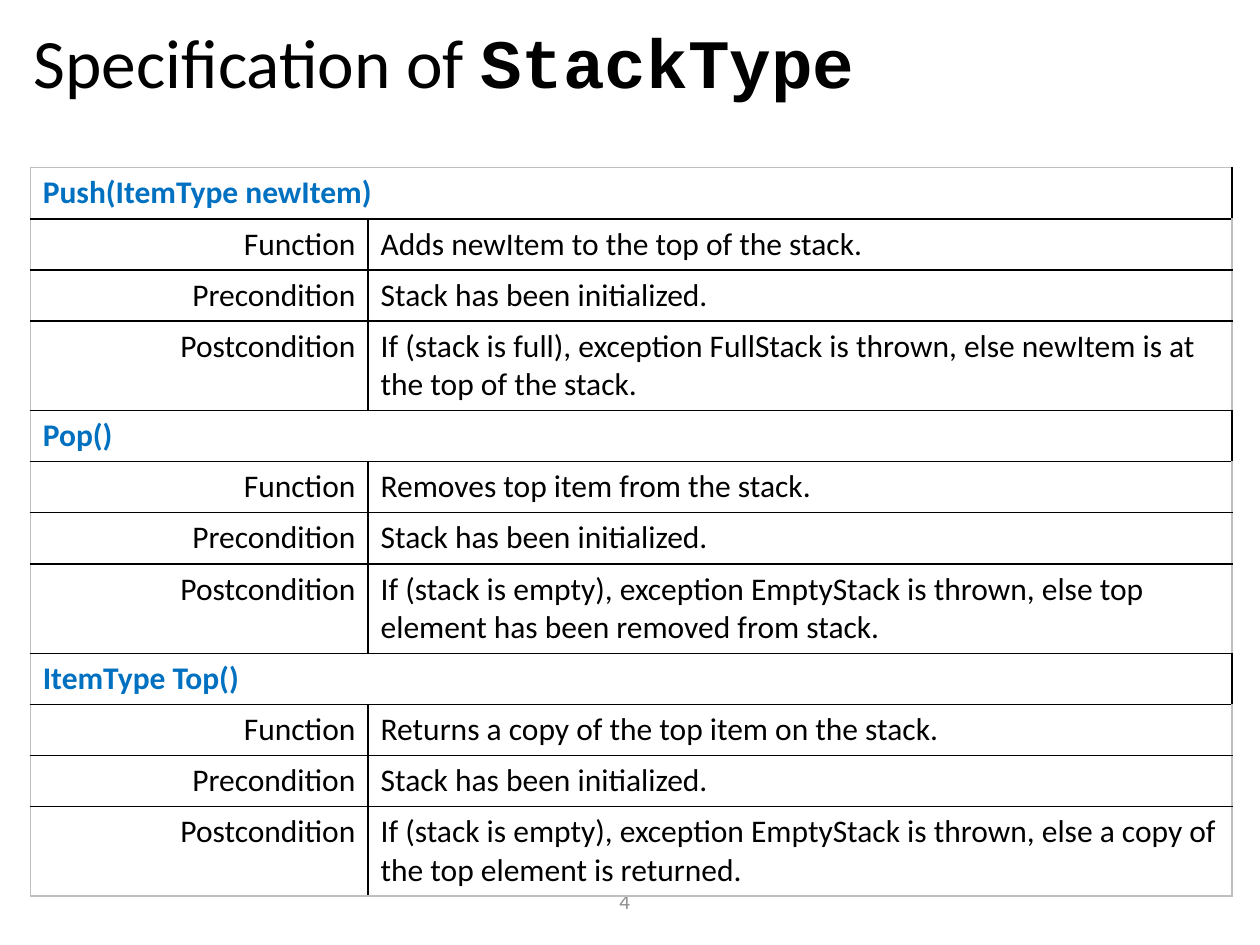
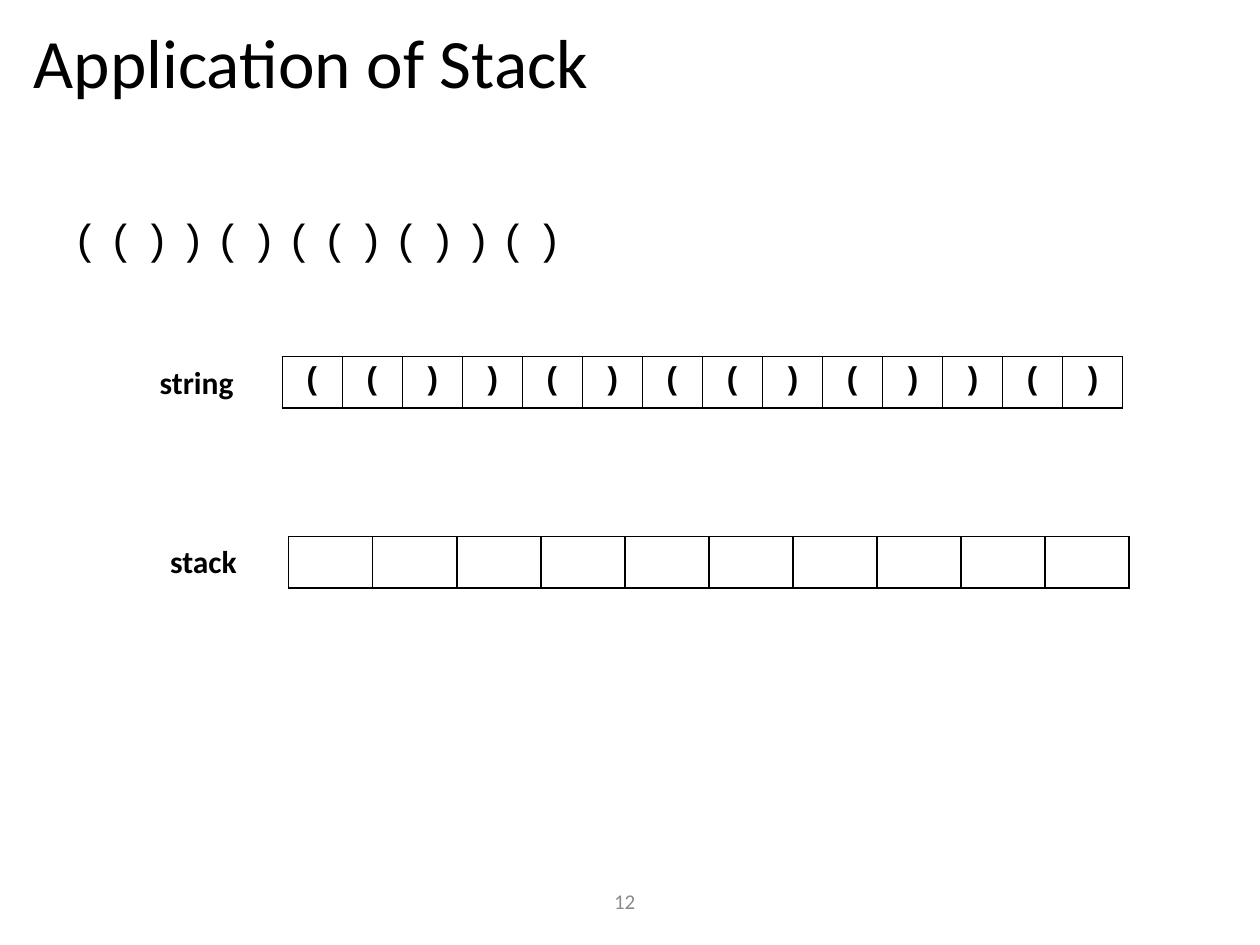
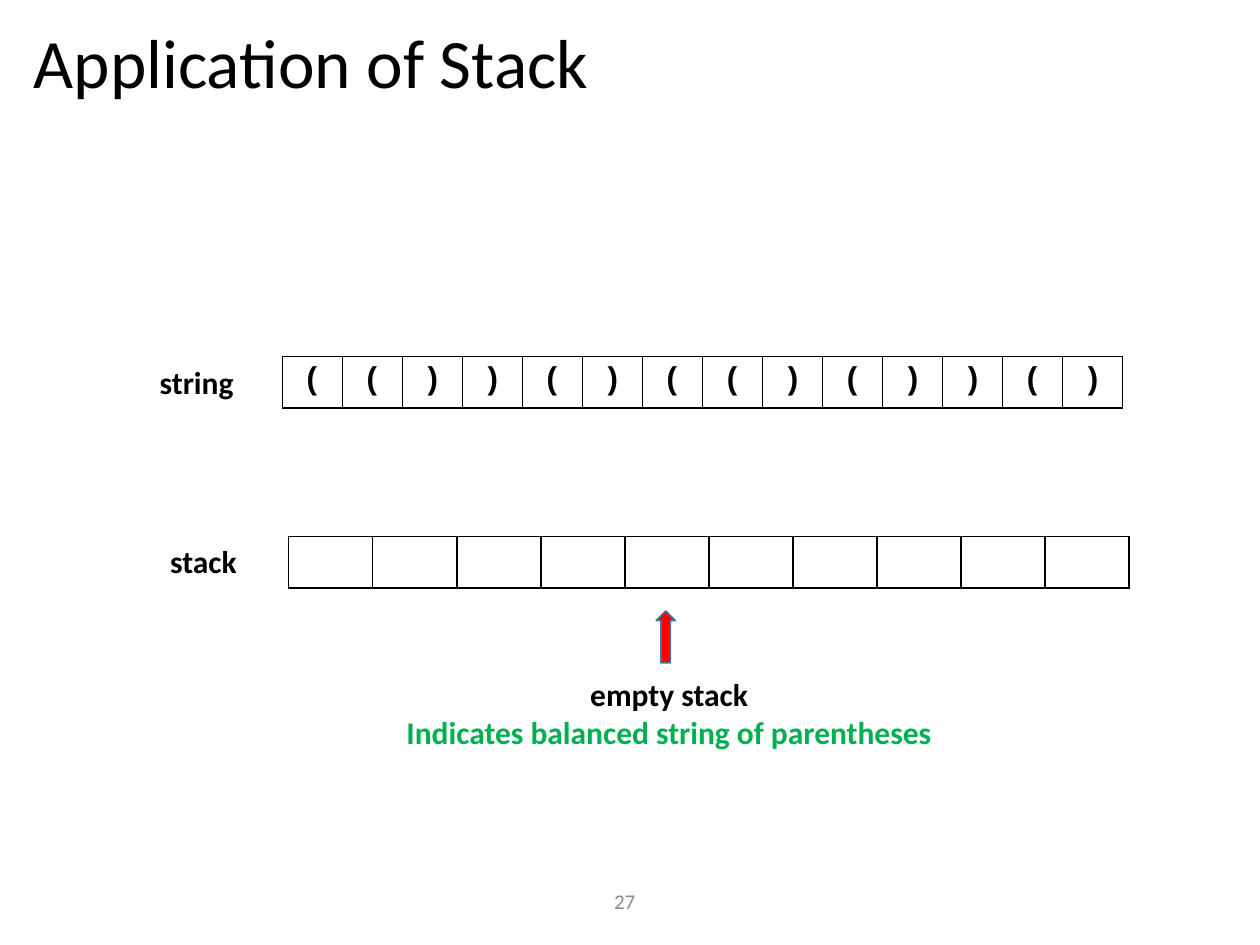
"""Build three slides on the stack type and on balanced parentheses."""
from dataclasses import dataclass

from lxml.etree import SubElement
from pptx import Presentation
from pptx.dml.color import RGBColor
from pptx.enum.shapes import MSO_SHAPE
from pptx.enum.text import MSO_ANCHOR, MSO_AUTO_SIZE, PP_ALIGN
from pptx.oxml.ns import qn
from pptx.util import Cm, Pt

BLACK = RGBColor(0x00, 0x00, 0x00)
GREY = RGBColor(0x8C, 0x8C, 0x8C)
PALE = RGBColor(0xBF, 0xBF, 0xBF)
BLUE = RGBColor(0x00, 0x70, 0xC0)
GREEN = RGBColor(0x00, 0xB0, 0x50)
RED = RGBColor(0xFF, 0x00, 0x00)
STEEL = RGBColor(0x43, 0x73, 0x9E)
SANS = "Calibri"
MONO = "Courier New"
ROW = 1.03
SIGNS = "(())()(()())()"


@dataclass(frozen=True)
class Box:
    """A place on the slide in centimetres."""
    left: float
    top: float
    width: float
    height: float

    def emu(self) -> tuple:
        """Give the four lengths for python-pptx."""
        return Cm(self.left), Cm(self.top), Cm(self.width), Cm(self.height)


@dataclass(frozen=True)
class Line:
    """One paragraph and its look."""
    text: str
    size: float = 18
    color: RGBColor = BLACK
    bold: bool = False
    font: str = SANS
    align: PP_ALIGN = PP_ALIGN.LEFT


@dataclass(frozen=True)
class Method:
    """One stack operation and its contract."""
    name: str
    task: str
    after: str
    before: str = "Stack has been initialized."


@dataclass(frozen=True)
class Strip:
    """A labelled one-row table of equal cells."""
    label: str
    spot: Box
    grid: Box
    signs: tuple


METHODS = (
    Method("Push(ItemType newItem)", "Adds newItem to the top of the stack.",
           "If (stack is full), exception FullStack is thrown, "
           "else newItem is at the top of the stack."),
    Method("Pop()", "Removes top item from the stack.",
           "If (stack is empty), exception EmptyStack is thrown, "
           "else top element has been removed from stack."),
    Method("ItemType Top()", "Returns a copy of the top item on the stack.",
           "If (stack is empty), exception EmptyStack is thrown, "
           "else a copy of the top element is returned."),
)
STRIPS = (
    Strip("stack", Box(3.18, 10.8, 2.26, 1.02), Box(5.82, 10.82, 16.94, ROW), ("",) * 10),
    Strip("string", Box(2.97, 7.19, 2.36, 1.02), Box(5.69, 7.19, 16.94, ROW), tuple(SIGNS)),
)


def write(para, line: Line) -> None:
    """Put a line into a paragraph."""
    if line.text:
        para.add_run().text = line.text
    para.alignment = line.align
    para.font.name = line.font
    para.font.size = Pt(line.size)
    para.font.bold = line.bold
    para.font.color.rgb = line.color


def add_text(slide, box: Box, *lines: Line, grow: bool = False):
    """Add a wrapped text box and return its frame."""
    frame = slide.shapes.add_textbox(*box.emu()).text_frame
    frame.word_wrap = True
    frame.auto_size = MSO_AUTO_SIZE.SHAPE_TO_FIT_TEXT if grow else MSO_AUTO_SIZE.NONE
    for num, line in enumerate(lines):
        write(frame.add_paragraph() if num else frame.paragraphs[0], line)
    return frame


def edge(cell, colors: dict) -> None:
    """Draw the sides of a cell, one point wide."""
    props = cell._tc.get_or_add_tcPr()
    for side, color in colors.items():
        rule = SubElement(props, qn(f"a:ln{side}"), w=str(Pt(1)))
        fill = SubElement(rule, qn("a:solidFill"))
        SubElement(fill, qn("a:srgbClr"), val=str(color))


def add_grid(slide, box: Box, widths: list, rows: list, rim: RGBColor = BLACK):
    """Add a plain ruled table of lines and return it."""
    last, end = len(rows) - 1, len(widths) - 1
    table = slide.shapes.add_table(len(rows), len(widths), *box.emu()).table
    table.first_row = table.horz_banding = False
    for col, width in zip(table.columns, widths):
        col.width = Cm(width)
    for y, row in enumerate(rows):
        table.rows[y].height = Cm(ROW)
        for x, line in enumerate(row):
            cell = table.cell(y, x)
            outer = {"L": x == 0, "R": x == end, "T": y == 0, "B": y == last}
            edge(cell, {side: rim if out else BLACK for side, out in outer.items()})
            cell.fill.background()
            write(cell.text_frame.paragraphs[0], line)
    return table


def add_slide(deck, page: int, title: str, code: str = ""):
    """Add a slide with its number and title."""
    slide = deck.slides.add_slide(deck.slide_layouts[6])
    foot = add_text(slide, Box(6.65, 17.65, 11.89, 1.02),
                    Line(str(page), 12, GREY, align=PP_ALIGN.CENTER))
    foot.vertical_anchor = MSO_ANCHOR.MIDDLE
    head = add_text(slide, Box(0.43, 0.46, 24.43, 1.88), Line(title, 39.6)).paragraphs[0]
    head.line_spacing = 0.9
    if code:
        run = head.add_run()
        run.text = code
        run.font.name = MONO
        run.font.bold = True
    return slide


def add_specs(slide) -> None:
    """Add the table of stack operations."""
    rows = []
    for item in METHODS:
        rows.append((Line(item.name, color=BLUE, bold=True), Line("")))
        pairs = (("Function", item.task), ("Precondition", item.before),
                 ("Postcondition", item.after))
        rows += [(Line(key, align=PP_ALIGN.RIGHT), Line(text)) for key, text in pairs]
    table = add_grid(slide, Box(0.61, 3.38, 24.23, ROW * len(rows)), [6.81, 17.42], rows, PALE)
    for y in range(0, len(rows), len(rows) // len(METHODS)):
        table.cell(y, 0).merge(table.cell(y, 1))


def add_strips(slide) -> None:
    """Add the stack and the string with their labels."""
    for strip in STRIPS:
        count = len(strip.signs)
        cells = [Line(sign, bold=True, font=MONO, align=PP_ALIGN.CENTER)
                 for sign in strip.signs]
        add_grid(slide, strip.grid, [strip.grid.width / count] * count, [cells])
        add_text(slide, strip.spot, Line(strip.label, bold=True), grow=True)


def add_input(slide) -> None:
    """Add the spaced-out parentheses."""
    para = add_text(slide, Box(1.22, 4.27, 23.11, 12.52),
                    Line(SIGNS, 24, font=MONO)).paragraphs[0]
    para.line_spacing = 0.9
    para.space_before = Pt(3)
    para.runs[0]._r.get_or_add_rPr().set("spc", "600")


def add_result(slide) -> None:
    """Add the arrow and the verdict below the stack."""
    arrow = slide.shapes.add_shape(MSO_SHAPE.UP_ARROW, *Box(13.23, 12.32, 0.38, 1.04).emu())
    arrow.shadow.inherit = False
    arrow.fill.solid()
    arrow.fill.fore_color.rgb = RED
    arrow.line.color.rgb = STEEL
    arrow.line.width = Pt(1)
    add_text(slide, Box(6.96, 13.49, 13.06, 1.8),
             Line("empty stack", bold=True, align=PP_ALIGN.CENTER),
             Line("Indicates balanced string of parentheses", color=GREEN, bold=True,
                  align=PP_ALIGN.CENTER), grow=True)


def main() -> None:
    """Build and save the deck."""
    deck = Presentation()
    deck.slide_width, deck.slide_height = Cm(25.4), Cm(19.05)
    add_specs(add_slide(deck, 4, "Specification of ", "StackType"))
    start = add_slide(deck, 12, "Application of Stack")
    add_input(start)
    add_strips(start)
    final = add_slide(deck, 27, "Application of Stack")
    add_strips(final)
    add_result(final)
    deck.save("out.pptx")


if __name__ == "__main__":
    main()
